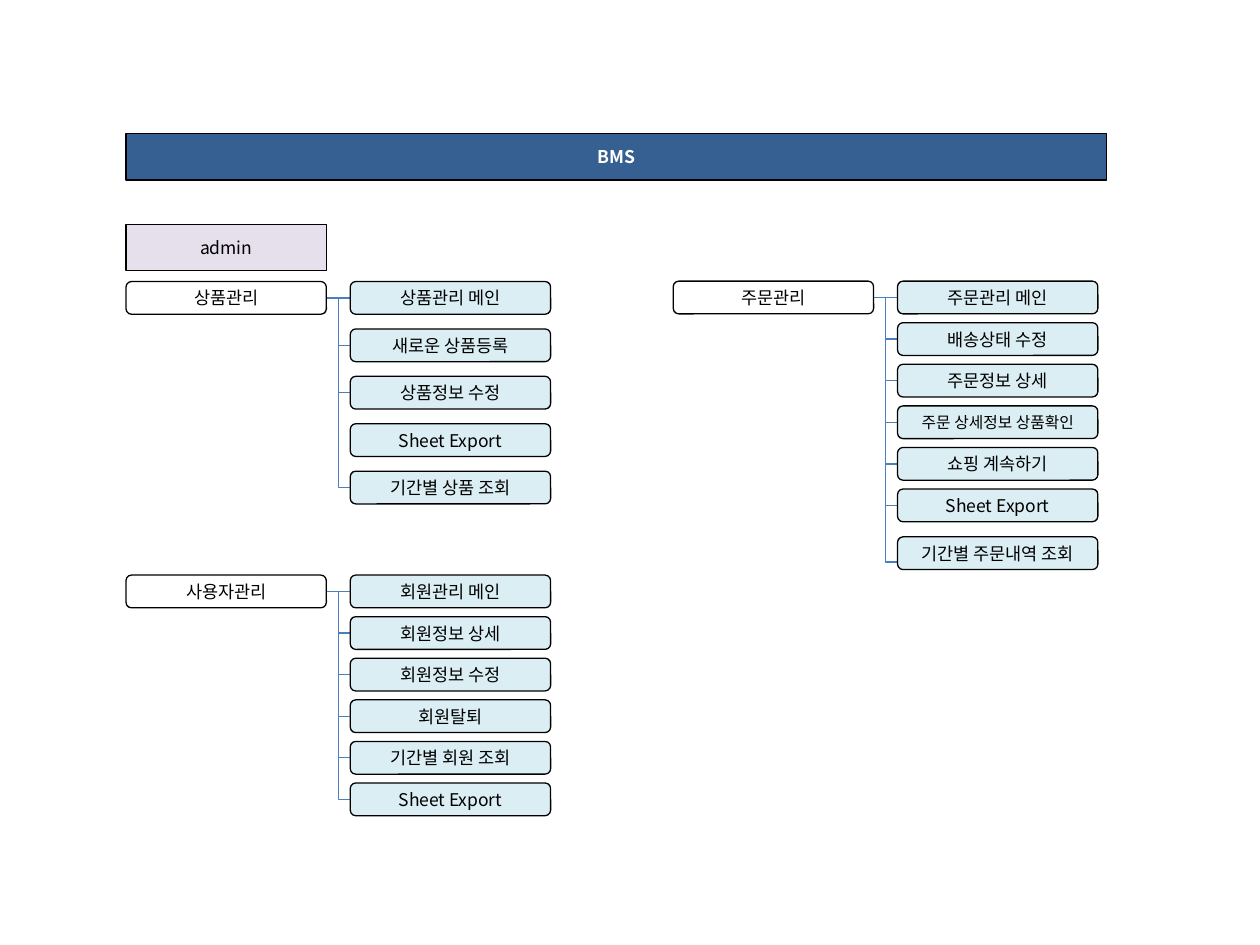
from dataclasses import dataclass

from lxml import etree
from pptx import Presentation
from pptx import util as u
from pptx.dml.color import RGBColor
from pptx.enum import shapes, text
from pptx.oxml.ns import qn


@dataclass(frozen=True)
class Theme:
    font: str = "Noto Sans CJK KR"
    size: float = 10
    small: float = 9
    stroke: float = 0.75
    ink: str = "000000"
    white: str = "FFFFFF"
    title: str = "376092"
    role: str = "E6E0EC"
    page: str = "DBEEF4"
    link: str = "4B7EBC"


@dataclass(frozen=True)
class Page:
    name: str
    size: float = Theme.size
    linked: bool = True
    drop: float = 0       # extra rows below the regular place
    link_drop: float = 0  # extra rows below the middle of the box


THEME = Theme()

# Grid in inches: a column is one box and one gap
LEFT, TOP = 1, 1.06
BOX_W, BOX_H, GAP = 1.59, 0.26, 0.19
BAR_W, BAR_H = 7.78, 0.37
COLUMN, ROW = BOX_W + GAP, 0.33
LEAD = 0.47

# Menu groups: name, column, row, rows between pages, pages
EXPORT = "Sheet Export"
GROUPS = [
    ("상품관리", 0, 3.56, 1.14, [
        Page("상품관리 메인"), Page("새로운 상품등록"), Page("상품정보 수정"),
        Page(EXPORT, linked=False), Page("기간별 상품 조회")]),
    ("사용자관리", 0, 10.62, 1, [
        Page("회원관리 메인"), Page("회원정보 상세"), Page("회원정보 수정"),
        Page("회원탈퇴"), Page("기간별 회원 조회"), Page(EXPORT)]),
    ("주문관리", 2.44, 3.55, 1, [
        Page("주문관리 메인"), Page("배송상태 수정"), Page("주문정보 상세"),
        Page("주문 상세정보 상품확인", size=THEME.small),
        Page("쇼핑 계속하기"), Page(EXPORT),
        Page("기간별 주문내역 조회", drop=0.15, link_drop=0.21)]),
]


def col_x(col):
    return LEFT + col * COLUMN


def row_y(row):
    return TOP + row * ROW


def add_box(s, kind, label, col, row, width, height, fill,
            color=THEME.ink, size=THEME.size, bold=False):
    sp = s.shapes.add_shape(kind, u.Inches(col_x(col)), u.Inches(row_y(row)),
                            u.Inches(width), u.Inches(height))
    sp.shadow.inherit = False
    sp.fill.solid()
    sp.fill.fore_color.rgb = RGBColor.from_string(fill)
    sp.line.color.rgb = RGBColor.from_string(THEME.ink)
    sp.line.width = u.Pt(THEME.stroke)
    tf = sp.text_frame
    tf.word_wrap = True
    tf.vertical_anchor = text.MSO_ANCHOR.MIDDLE
    p = tf.paragraphs[0]
    p.alignment = text.PP_ALIGN.CENTER
    r = p.add_run()
    r.text = label
    r.font.name = THEME.font
    r.font.size = u.Pt(size)
    r.font.bold = bold
    r.font.color.rgb = RGBColor.from_string(color)
    etree.SubElement(r.font._element, qn("a:ea"), typeface=THEME.font)


def add_bar(s, label, row, width, fill, **style):
    add_box(s, shapes.MSO_SHAPE.RECTANGLE, label, 0, row, width, BAR_H,
            fill, **style)


def add_item(s, label, col, row, fill, **style):
    add_box(s, shapes.MSO_SHAPE.ROUNDED_RECTANGLE, label, col, row,
            BOX_W, BOX_H, fill, **style)


def add_link(s, kind, x1, y1, x2, y2):
    c = s.shapes.add_connector(kind, u.Inches(x1), u.Inches(y1),
                               u.Inches(x2), u.Inches(y2))
    c.line.color.rgb = RGBColor.from_string(THEME.link)
    c.line.width = u.Pt(THEME.stroke)
    etree.SubElement(c._element.spPr, qn("a:effectLst"))


def add_group(s, name, col, row, step, pages):
    start, end = col_x(col) + BOX_W, col_x(col + 1)
    center = (start + end) / 2
    middle = row_y(row) + BOX_H / 2

    # Links first, so that the boxes cover their ends
    add_link(s, shapes.MSO_CONNECTOR.STRAIGHT,
             center - LEAD, middle, center + LEAD, middle)
    for i, page in enumerate(pages):
        if i and page.linked:
            y = middle + (i * step + page.drop + page.link_drop) * ROW
            add_link(s, shapes.MSO_CONNECTOR.ELBOW, start, middle, end, y)

    # Menu and its pages
    add_item(s, name, col, row, THEME.white)
    for i, page in enumerate(pages):
        add_item(s, page.name, col + 1, row + i * step + page.drop,
                 THEME.page, size=page.size)


def main():
    prs = Presentation()
    prs.slide_width, prs.slide_height = u.Inches(10), u.Inches(7.5)
    s = prs.slides.add_slide(prs.slide_layouts[6])

    # System and role
    add_bar(s, "BMS", 0, BAR_W, THEME.title, color=THEME.white, bold=True)
    add_bar(s, "admin", 2.18, BOX_W, THEME.role)

    # Menu trees
    for group in GROUPS:
        add_group(s, *group)
    prs.save("out.pptx")


main()
